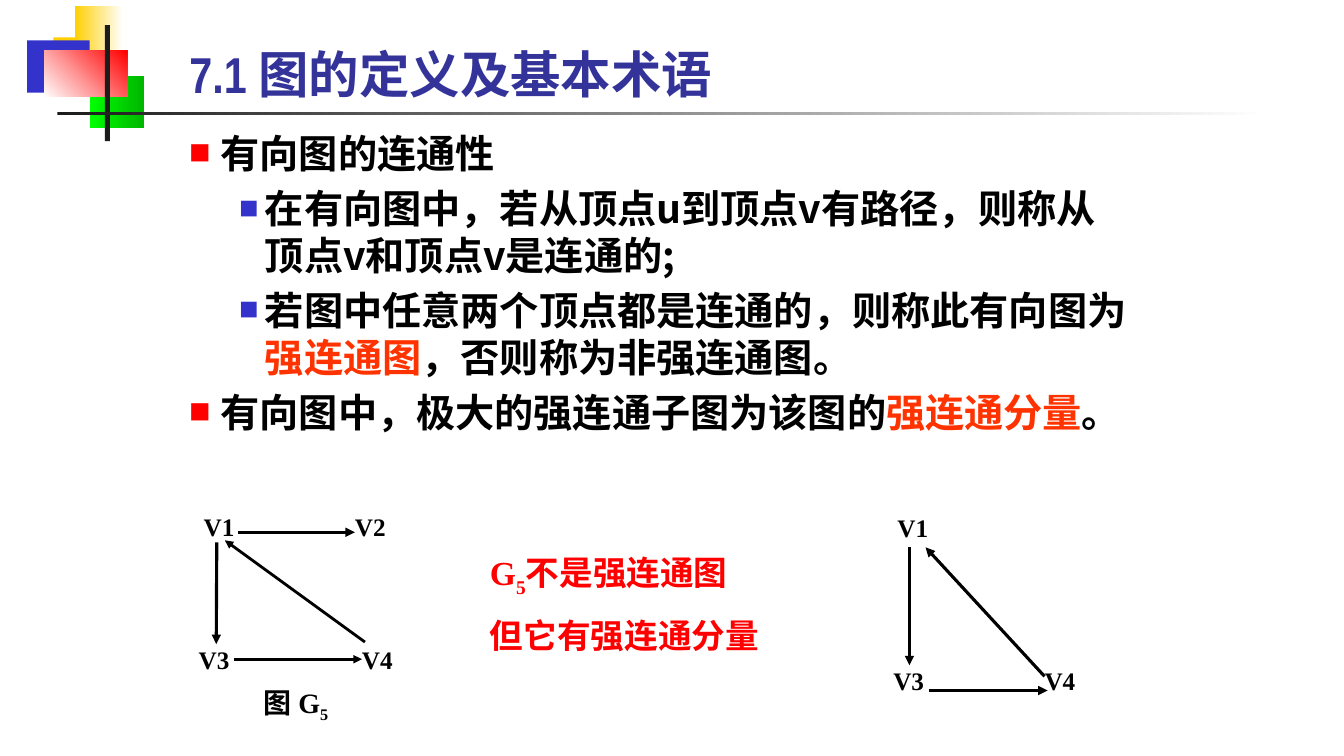
"""Build the slide on connectivity of directed graphs."""
from lxml.etree import SubElement
from pptx import Presentation
from pptx.dml.color import RGBColor
from pptx.enum.shapes import MSO_CONNECTOR as CONNECTOR, MSO_SHAPE as SHAPE
from pptx.enum.text import MSO_ANCHOR as ANCHOR
from pptx.oxml.ns import qn
from pptx.util import Inches, Pt

BLACK = RGBColor(0x00, 0x00, 0x00)
WHITE = RGBColor(0xFF, 0xFF, 0xFF)
RED = RGBColor(0xFF, 0x00, 0x00)
ORANGE = RGBColor(0xFF, 0x33, 0x00)
GOLD = RGBColor(0xFF, 0xCF, 0x01)
BLUE = RGBColor(0x33, 0x33, 0xCC)
NAVY = RGBColor(0x33, 0x33, 0x99)
LIME = RGBColor(0x00, 0xFF, 0x00)
GREEN = RGBColor(0x00, 0xB6, 0x00)
INK = RGBColor(0x1C, 0x1C, 0x1C)

CJK, SERIF, NARROW = "Noto Sans CJK SC", "Times New Roman", "Arial Narrow"
TOP, LEFT, RIGHT = 0, 1, 3

ORNAMENTS = [
    ((0.53, 0.37, 0.64, 0.52), (GOLD,), 0),
    ((0.74, 0.06, 0.48, 0.52), (GOLD, WHITE), 0),
    ((0.27, 0.4, 0.62, 0.52), (BLUE,), 0),
    ((0.89, 0.75, 0.54, 0.52), (LIME, GREEN), 0),
    ((0.44, 0.5, 0.82, 0.46), (WHITE, RED), 45),
    ((1.04, 0.25, 0.05, 1.15), (INK,), 0),
    ((0.57, 1.11, 12, 0.03), (INK, WHITE), 0),
]
TITLE = [[("7.1 图的定义及基本术语", NAVY)]]
BODY = [
    (1, [("有向图的连通性", BLACK)]),
    (2, [("在有向图中，若从顶点u到顶点v有路径，则称从顶点v和顶点v是连通的;", BLACK)]),
    (2, [("若图中任意两个顶点都是连通的，则称此有向图为", BLACK), ("强连通图", ORANGE),
         ("，否则称为非强连通图。", BLACK)]),
    (1, [("有向图中，极大的强连通子图为该图的", BLACK), ("强连通分量", ORANGE), ("。", BLACK)]),
]
BULLETS = {1: (0.81, 0.31, RED, 55), 2: (1.25, 0.25, BLUE, 50)}
REMARK = [[("G", RED), ("5", RED), ("不是强连通图", RED)], [("但它有强连通分量", RED)]]
CAPTION = [[("图 G", BLACK), ("5", BLACK)]]

GRAPHS = [
    {
        "label_width": 0.35,
        "vertices": {"V1": (2.02, 5.07), "V2": (3.52, 5.07),
                     "V3": (1.97, 6.39), "V4": (3.59, 6.39)},
        "edges": [
            ((2.36, 5.28), (3.52, 5.28), 2.25, None, None),
            ((2.15, 5.38), (2.15, 6.39), 2.25, None, ("V3", TOP)),
            ((2.32, 6.54), (3.59, 6.54), 2, ("V3", RIGHT), ("V4", LEFT)),
            ((3.62, 6.37), (2.23, 5.36), 2, None, None),
        ],
    },
    {
        "label_width": 0.32,
        "vertices": {"V1": (8.9, 5.08), "V3": (8.86, 6.6), "V4": (10.36, 6.6)},
        "edges": [
            ((9.02, 5.43), (9.02, 6.6), 2.25, None, ("V3", TOP)),
            ((10.36, 6.71), (9.18, 5.43), 2.25, None, None),
            ((9.21, 6.85), (10.39, 6.85), 2.25, None, None),
        ],
    },
]


def add_ornament(page, place, colors, angle):
    shape = page.shapes.add_shape(SHAPE.RECTANGLE, *map(Inches, place))
    shape.shadow.inherit = False
    shape.line.fill.background()
    if len(colors) == 1:
        shape.fill.solid()
        shape.fill.fore_color.rgb = colors[0]
        return
    shape.fill.gradient()
    shape.fill.gradient_angle = angle
    for stop, color in zip(shape.fill.gradient_stops, colors):
        stop.color.rgb = color


def add_text(page, place, paragraphs, font, size, margin=True, gap=0):
    box = page.shapes.add_textbox(*map(Inches, place))
    frame = box.text_frame
    frame.word_wrap = True
    if not margin:
        frame.margin_left = frame.margin_right = 0
        frame.margin_top = frame.margin_bottom = 0
    for index, spans in enumerate(paragraphs):
        para = frame.paragraphs[0] if index == 0 else frame.add_paragraph()
        if index:
            para.space_before = Pt(gap)
        for text, color in spans:
            span = para.add_run()
            span.text = text
            span.font.name = font
            span.font.size = Pt(size)
            span.font.bold = True
            span.font.color.rgb = color
            properties = span.font._element
            SubElement(properties, qn("a:ea")).set("typeface", CJK)
            if text == "5":
                properties.set("baseline", "-25000")
    return box


def add_bullet(para, level):
    indent, hanging, color, percent = BULLETS[level]
    properties = para._p.get_or_add_pPr()
    properties.set("marL", str(Inches(indent)))
    properties.set("indent", str(-Inches(hanging)))
    properties.set("lvl", str(level - 1))
    bullet_color = SubElement(properties, qn("a:buClr"))
    SubElement(bullet_color, qn("a:srgbClr")).set("val", str(color))
    SubElement(properties, qn("a:buSzPct")).set("val", str(percent * 1000))
    SubElement(properties, qn("a:buFont")).set("typeface", CJK)
    SubElement(properties, qn("a:buChar")).set("char", "■")


def add_edge(page, labels, start, end, weight, begin_join, end_join):
    edge = page.shapes.add_connector(CONNECTOR.STRAIGHT, *map(Inches, start + end))
    edge.line.color.rgb = BLACK
    edge.line.width = Pt(weight)
    SubElement(edge.line._get_or_add_ln(), qn("a:tailEnd")).set("type", "triangle")
    SubElement(edge._element.spPr, qn("a:effectLst"))
    if begin_join:
        edge.begin_connect(labels[begin_join[0]], begin_join[1])
    if end_join:
        edge.end_connect(labels[end_join[0]], end_join[1])


def add_graph(page, graph):
    labels = {}
    for name, corner in graph["vertices"].items():
        place = corner + (graph["label_width"], 0.3)
        labels[name] = add_text(page, place, [[(name, BLACK)]], SERIF, 18, margin=False)
    for edge in graph["edges"]:
        add_edge(page, labels, *edge)


def main():
    deck = Presentation()
    deck.slide_width, deck.slide_height = Inches(13.33), Inches(7.5)
    page = deck.slides.add_slide(deck.slide_layouts[6])
    for ornament in ORNAMENTS:
        add_ornament(page, *ornament)
    body = add_text(page, (1.28, 1.23, 10, 4.25), [spans for _, spans in BODY], CJK, 28, gap=5.6)
    for para, (level, _) in zip(body.text_frame.paragraphs, BODY):
        add_bullet(para, level)
    add_text(page, (4.86, 5.48, 2.69, 1.01), REMARK, SERIF, 24, margin=False, gap=12)
    for graph in GRAPHS:
        add_graph(page, graph)
    title = add_text(page, (1.78, 0.25, 8.91, 0.83), TITLE, NARROW, 36)
    title.text_frame.vertical_anchor = ANCHOR.BOTTOM
    add_text(page, (2.52, 6.75, 0.86, 0.44), CAPTION, SERIF, 20)
    deck.save("out.pptx")


if __name__ == "__main__":
    main()
